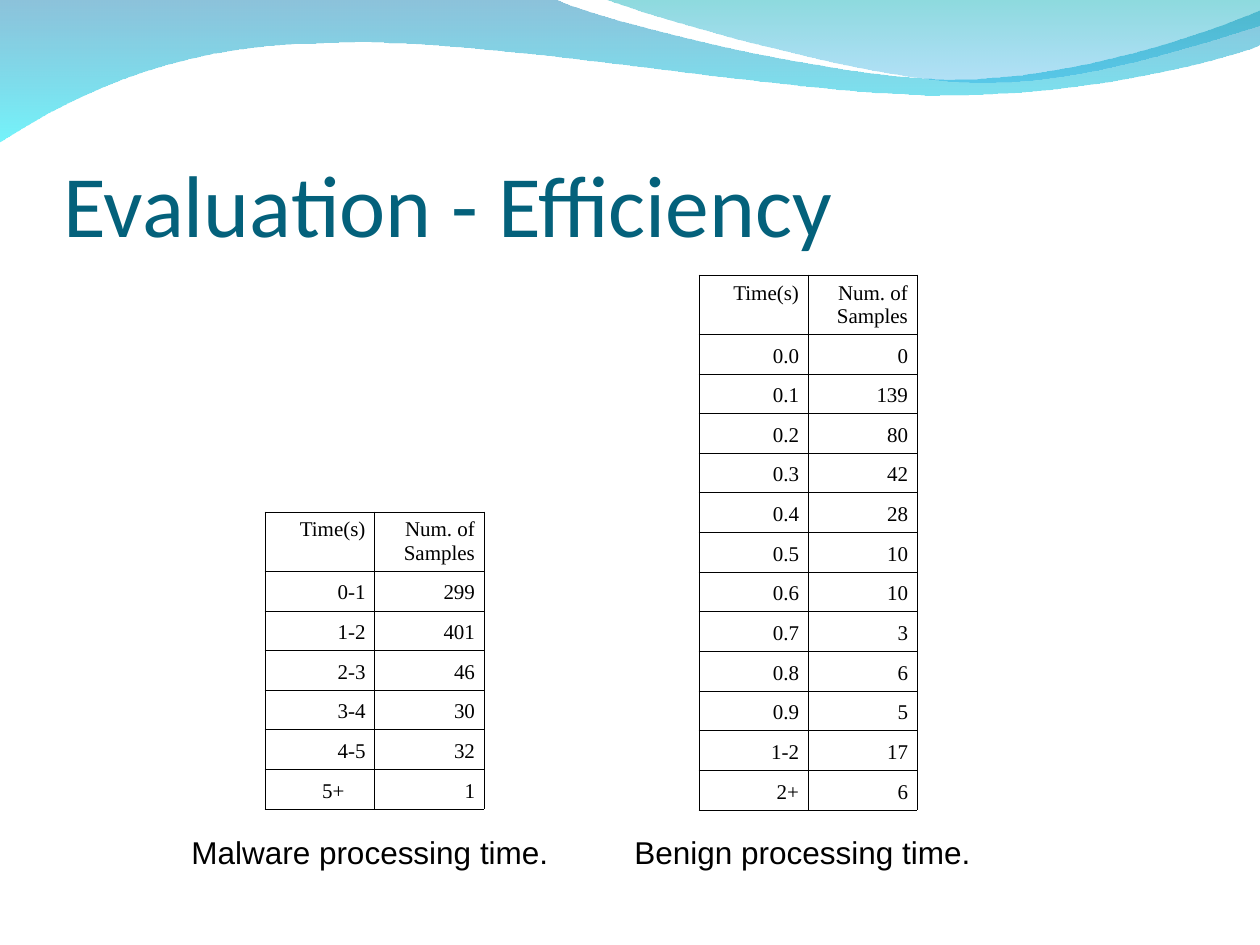
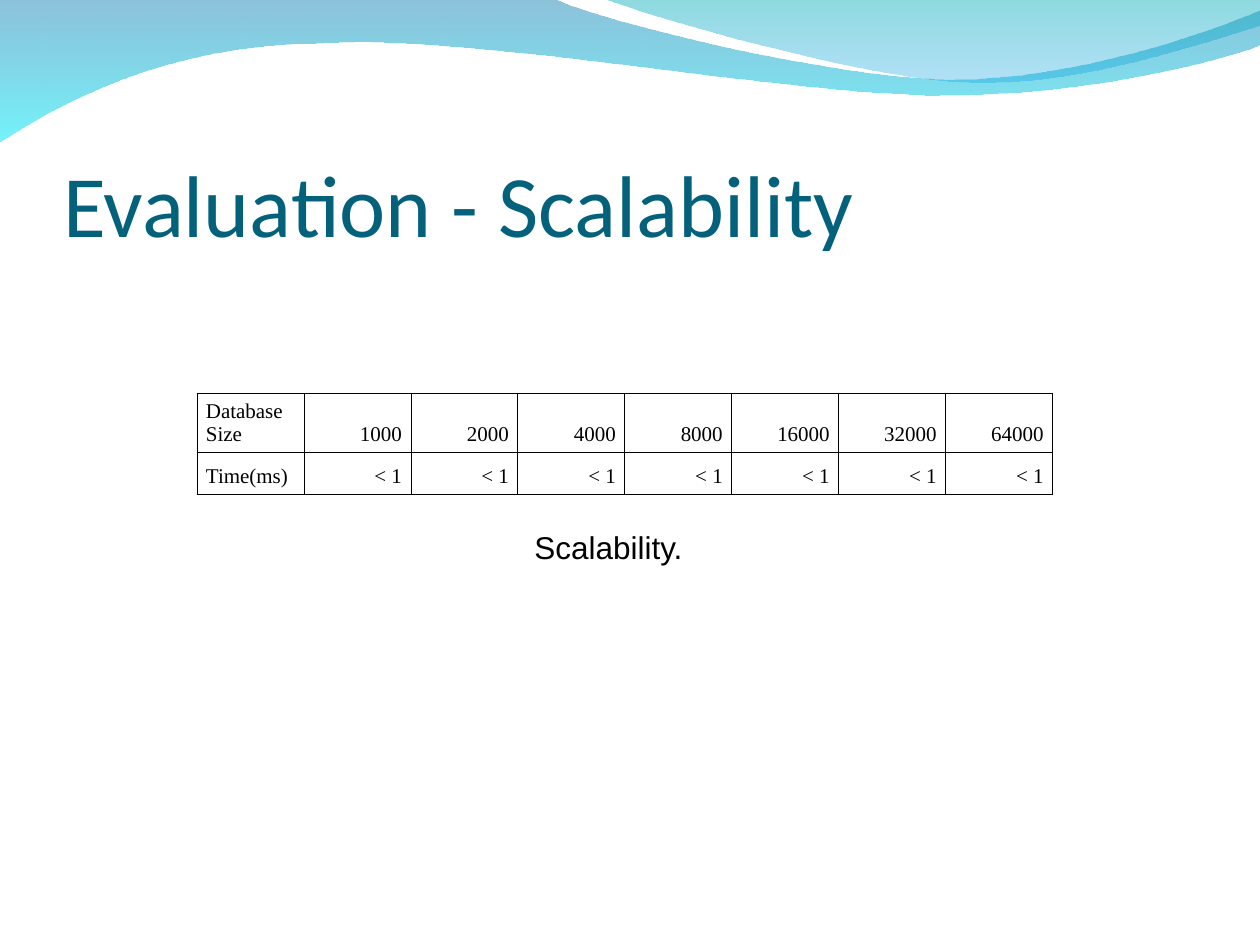
from dataclasses import dataclass

from lxml.etree import SubElement
from pptx import Presentation
from pptx.dml.color import RGBColor
from pptx.enum.text import MSO_ANCHOR as Anchor, MSO_AUTO_SIZE as Auto, PP_ALIGN as Align
from pptx.oxml.ns import qn
from pptx.util import Pt

SCALE = 914400 / 126


@dataclass(frozen=True)
class Theme:
    title: str = "04617B"
    ink: str = "000000"
    wave: tuple = (("0079AF", 45), ("00EBF8", 55))
    sheet: tuple = (("00ADB6", 45), ("009BE5", 30))
    head_font: str = "Calibri"
    cell_font: str = "Times New Roman"
    note_font: str = "Arial"
    head_size: int = 50
    cell_size: int = 12
    note_size: int = 18
    rule: float = 0.45


THEME = Theme()

WAVE = [(0, -1), (554, -1),
        (600, 21, 837, 79, 955, 79), (1075, 79, 1207, 33, 1260, 11),
        (1261, 45),
        (1239, 55, 1096, 96, 940, 95), (784, 95, 481, 35, 324, 43),
        (163, 44, 58, 105, -1, 142)]
SHEET = [(604, -1),
         (641, 14, 859, 78, 969, 82), (1079, 87, 1211, 40, 1260, 26),
         (1260, 0)]

HEADS = ("Time(s)", " Num. of Samples")
MALWARE = [HEADS, ("0-1", "299"), ("1-2", "401"), ("2-3", "46"),
           ("3-4", "30"), ("4-5", "32"), ("5+", "1")]
BENIGN = [HEADS, ("0.0", "0"), ("0.1", "139"), ("0.2", "80"), ("0.3", "42"),
          ("0.4", "28"), ("0.5", "10"), ("0.6", "10"), ("0.7", "3"),
          ("0.8", "6"), ("0.9", "5"), ("1-2", "17"), ("2+", "6")]
SIZES = [("Database Size", *(str(1000 * 2 ** n) for n in range(7))),
         ("Time(ms)", *["< 1"] * 7)]


def px(num):
    return round(num * SCALE)


def write(para, text, font, size, color, align=Align.LEFT):
    para.alignment = align
    run = para.add_run()
    run.text = text
    run.font.name = font
    run.font.size = Pt(size)
    run.font.color.rgb = RGBColor.from_string(color)


def bend(shape, steps):
    lines = iter(list(shape.element.iter(qn("a:lnTo"))))
    for step in steps[1:]:
        line = next(lines)
        if len(step) == 2:
            continue
        line.tag = qn("a:cubicBezTo")
        for _ in range(2):
            extra = next(lines)
            line.append(extra[0])
            extra.getparent().remove(extra)


def add_band(slide, steps, stops):
    dots = [(px(step[i]), px(step[i + 1]))
            for step in steps for i in range(0, len(step), 2)]
    pen = slide.shapes.build_freeform(*dots[0])
    pen.add_line_segments(dots[1:], close=True)
    band = pen.convert_to_shape()
    bend(band, steps)
    band.shadow.inherit = False
    band.line.fill.background()
    band.fill.gradient()
    band.fill.gradient_angle = 270
    for stop, (color, alpha) in zip(band.fill.gradient_stops, stops):
        stop.color.rgb = RGBColor.from_string(color)
    for tone, (color, alpha) in zip(band.element.iter(qn("a:srgbClr")), stops):
        SubElement(tone, qn("a:alpha")).set("val", str(alpha * 1000))
    return band


def share_bands(slide):
    tree = slide.slide_layout.shapes.element
    bands = [add_band(slide, WAVE, THEME.wave), add_band(slide, SHEET, THEME.sheet)]
    for spot, band in enumerate(bands, 2):
        tree.insert(spot, band.element)


def place(shape, box):
    shape.left, shape.top, shape.width, shape.height = map(px, box)


def add_title(slide, text, box=(63, 97, 1134, 158)):
    title = slide.shapes.title
    place(title, box)
    frame = title.text_frame
    frame.auto_size = Auto.NONE
    frame.vertical_anchor = Anchor.BOTTOM
    frame.margin_left = frame.margin_right = frame.margin_bottom = 0
    frame.margin_top = px(6)
    write(frame.paragraphs[0], text, THEME.head_font, THEME.head_size, THEME.title)


def add_note(slide, text, box, wrap=False):
    frame = slide.shapes.add_textbox(*map(px, box)).text_frame
    frame.word_wrap = wrap
    frame.auto_size = Auto.SHAPE_TO_FIT_TEXT
    write(frame.paragraphs[0], text, THEME.note_font, THEME.note_size, THEME.ink)


def style_cell(cell, text, align, anchor):
    cell.margin_left = cell.margin_right = px(9)
    cell.vertical_anchor = anchor
    props = cell._tc.get_or_add_tcPr()
    for side in ("L", "R", "T", "B"):
        line = SubElement(props, qn(f"a:ln{side}"), w=str(Pt(THEME.rule)))
        fill = SubElement(line, qn("a:solidFill"))
        SubElement(fill, qn("a:srgbClr"), val=THEME.ink)
    cell.fill.background()
    write(cell.text_frame.paragraphs[0], text, THEME.cell_font,
          THEME.cell_size, THEME.ink, align)


def add_grid(slide, rows, box, first=Align.RIGHT, top=Anchor.BOTTOM, head=50):
    wide, high = box[2:]
    grid = slide.shapes.add_table(len(rows), len(rows[0]), *map(px, box)).table
    grid.first_row = grid.horz_banding = False
    for col in grid.columns:
        col.width = px(wide / len(rows[0]))
    for r, row in enumerate(rows):
        grid.rows[r].height = px((high - head) / (len(rows) - 1) if r else head)
        for c, text in enumerate(row):
            style_cell(grid.cell(r, c), text, Align.RIGHT if c else first,
                       Anchor.BOTTOM if r else top)
    return grid


def fill_speed(slide):
    add_title(slide, "Evaluation - Efficiency")
    grid = add_grid(slide, MALWARE, (265, 512, 219, 288), top=Anchor.TOP)
    grid.cell(len(MALWARE) - 1, 0).margin_right = px(30)
    add_grid(slide, BENIGN, (699, 275, 218, 526), top=Anchor.TOP)
    add_note(slide, "Malware processing time.", (179, 827, 382, 50))
    add_note(slide, "Benign processing time.", (622, 827, 362, 50))


def fill_growth(slide):
    add_title(slide, "Evaluation - Scalability")
    add_grid(slide, SIZES, (197, 393, 856, 92), first=Align.LEFT)
    add_note(slide, "Scalability.", (522, 522, 217, 50), wrap=True)


def main():
    deck = Presentation()
    deck.slide_width, deck.slide_height = px(1260), px(945)
    layout = deck.slide_layouts[5]
    speed, growth = (deck.slides.add_slide(layout) for _ in range(2))
    share_bands(speed)
    fill_speed(speed)
    fill_growth(growth)
    deck.save("out.pptx")


if __name__ == "__main__":
    main()
